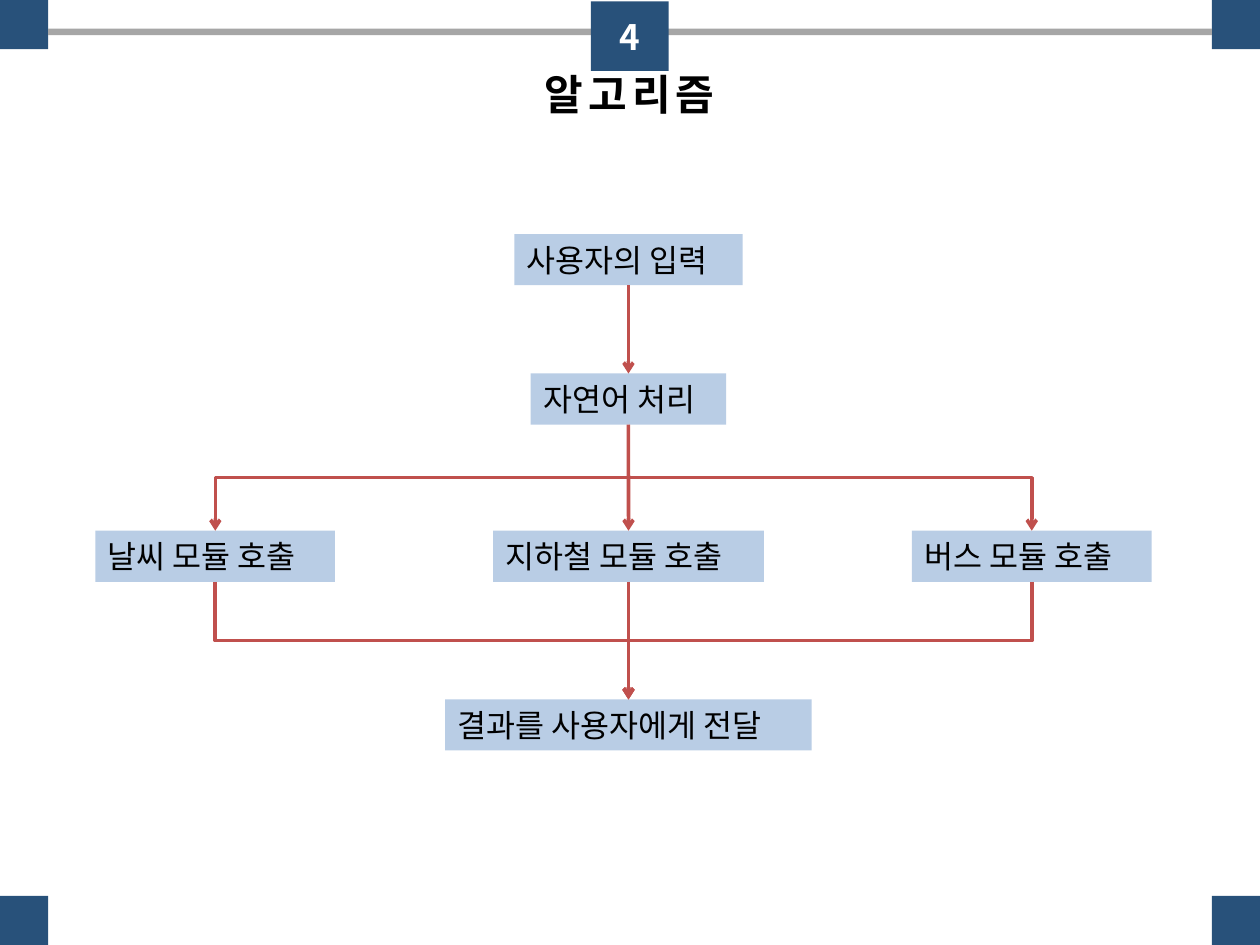
import lxml.etree
import pptx
import pptx.dml.color
import pptx.enum.shapes
import pptx.enum.text
import pptx.oxml.ns
import pptx.util

Cm = pptx.util.Cm
Pt = pptx.util.Pt
qn = pptx.oxml.ns.qn
Align = pptx.enum.text.PP_ALIGN
Connector = pptx.enum.shapes.MSO_CONNECTOR

COLORS = {
    "navy": "28517A",
    "grey": "A6A6A6",
    "step": "B9CDE5",
    "arrow": "C0504D",
    "black": "000000",
    "white": "FFFFFF",
}
FONT = "Noto Sans CJK KR"
SLIDE_WIDTH, SLIDE_HEIGHT = 25.4, 19.05
CORNER_WIDTH, CORNER_HEIGHT = 0.97, 0.99
STEP_HEIGHT = 1.03
LEFT, MIDDLE, RIGHT = 4.34, 12.67, 20.8


class SlideBuilder:
    """Draws styled elements on the current slide."""

    def __init__(self, slide):
        self.slide = slide

    def color(self, name):
        return pptx.dml.color.RGBColor.from_string(COLORS[name])

    def label(self, shape, text, size, color, align, bold=False, spacing=None):
        frame = shape.text_frame
        frame.text = text
        frame.word_wrap = True
        frame.auto_size = pptx.enum.text.MSO_AUTO_SIZE.NONE
        frame.vertical_anchor = pptx.enum.text.MSO_ANCHOR.MIDDLE
        para = frame.paragraphs[0]
        para.alignment = align
        span = para.runs[0]
        span.font.name = FONT
        span.font.size = Pt(size)
        span.font.bold = bold
        span.font.color.rgb = self.color(color)
        properties = span.font._element
        lxml.etree.SubElement(properties, qn("a:ea")).set("typeface", FONT)
        if spacing:
            properties.set("spc", str(spacing * 100))

    def title(self, text, left, top, width, height):
        shape = self.slide.shapes.title
        shape.left, shape.top = Cm(left), Cm(top)
        shape.width, shape.height = Cm(width), Cm(height)
        self.label(shape, text, 24, "black", Align.CENTER, bold=True, spacing=3)

    def box(self, left, top, width, height, fill):
        shape = self.slide.shapes.add_shape(
            pptx.enum.shapes.MSO_SHAPE.RECTANGLE,
            Cm(left), Cm(top), Cm(width), Cm(height))
        shape.shadow.inherit = False
        shape.fill.solid()
        shape.fill.fore_color.rgb = self.color(fill)
        shape.line.fill.background()
        return shape

    def step(self, text, center, top, width):
        shape = self.box(center - width / 2, top, width, STEP_HEIGHT, "step")
        self.label(shape, text, 18, "black", Align.LEFT)
        return shape

    def style_arrow(self, arrow):
        arrow.line.color.rgb = self.color("arrow")
        arrow.line.width = Pt(2)
        line = arrow.line._get_or_add_ln()
        lxml.etree.SubElement(line, qn("a:tailEnd")).set("type", "arrow")
        lxml.etree.SubElement(arrow._element.spPr, qn("a:effectLst"))

    def straight_arrow(self, source, target):
        arrow = self.slide.shapes.add_connector(Connector.STRAIGHT, 0, 0, 0, 0)
        arrow.begin_connect(source, 2)
        arrow.end_connect(target, 0)
        self.style_arrow(arrow)

    def elbow_arrow(self, source, target):
        start_x = source.left + source.width // 2
        end_x = target.left + target.width // 2
        start_y, end_y = source.top + source.height, target.top
        middle_x, middle_y = (start_x + end_x) // 2, (start_y + end_y) // 2
        half_run = (end_y - start_y) // 2
        half_span = abs(end_x - start_x) // 2
        side = 1 if end_x > start_x else -1
        arrow = self.slide.shapes.add_connector(
            Connector.ELBOW,
            middle_x + side * half_run, middle_y - half_span,
            middle_x - side * half_run, middle_y + half_span)
        turn = 270 if side == 1 else 90
        arrow._element.spPr.find(qn("a:xfrm")).set("rot", str(turn * 60000))
        self.style_arrow(arrow)


def main():
    deck = pptx.Presentation()
    deck.slide_width, deck.slide_height = Cm(SLIDE_WIDTH), Cm(SLIDE_HEIGHT)
    page = SlideBuilder(deck.slides.add_slide(deck.slide_layouts[5]))

    for left in (0, SLIDE_WIDTH - CORNER_WIDTH):
        for top in (0, SLIDE_HEIGHT - CORNER_HEIGHT):
            page.box(left, top, CORNER_WIDTH, CORNER_HEIGHT, "navy")
    for left, width in ((13.39, 11.04), (0.97, 11.98)):
        page.box(left, 0.58, width, 0.13, "grey")
    badge = page.box(11.91, 0.03, 1.57, 1.4, "navy")
    page.label(badge, "4", 20, "white", Align.CENTER, bold=True)
    page.title("알고리즘", 7.39, 1.24, 10.6, 1.28)

    user_input = page.step("사용자의 입력", MIDDLE, 4.72, 4.6)
    language = page.step("자연어 처리", MIDDLE, 7.53, 3.94)
    weather = page.step("날씨 모듈 호출", LEFT, 10.7, 4.83)
    bus = page.step("버스 모듈 호출", RIGHT, 10.7, 4.83)
    subway = page.step("지하철 모듈 호출", MIDDLE, 10.7, 5.46)
    result = page.step("결과를 사용자에게 전달", MIDDLE, 14.1, 7.39)

    for source, target in ((user_input, language), (language, subway), (subway, result)):
        page.straight_arrow(source, target)
    for module in (weather, bus):
        page.elbow_arrow(language, module)
        page.elbow_arrow(module, result)

    deck.save("out.pptx")


if __name__ == "__main__":
    main()
